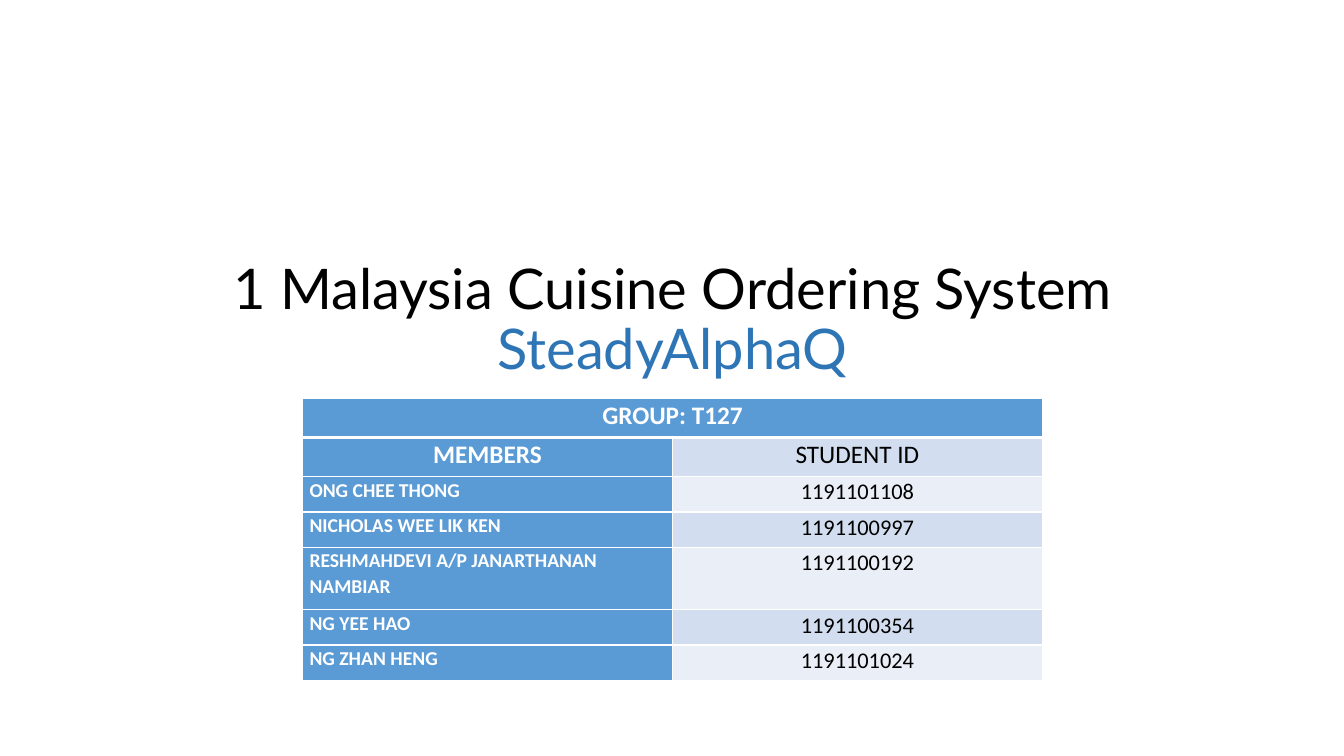
from lxml.etree import SubElement as SubEl
from pptx import Presentation
from pptx.dml.color import RGBColor as RGB
from pptx.enum.text import MSO_ANCHOR as Anchor, PP_ALIGN as Align
from pptx.oxml.ns import qn
from pptx.util import Inches, Pt

COLORS = {
    "white": "FFFFFF", "black": "000000", "name": "2E75B6",
    "head": "5B9BD5", "dark": "D2DEEF", "light": "EAEFF7",
}
MEMBERS = [
    ("ONG CHEE THONG", "1191101108"),
    ("NICHOLAS WEE LIK KEN", "1191100997"),
    ("RESHMAHDEVI A/P JANARTHANAN NAMBIAR", "1191100192"),
    ("NG YEE HAO", "1191100354"),
    ("NG ZHAN HENG", "1191101024"),
]
HEIGHTS = [0.39, 0.39, 0.35, 0.35, 0.62, 0.35, 0.35]


def add_run(para, text, size, font, color, bold=False):
    run = para.add_run()
    run.text = text
    run.font.size = Pt(size)
    run.font.name = font
    run.font.bold = bold
    run.font.color.rgb = RGB.from_string(COLORS[color])


def add_title(slide):
    box = slide.shapes.add_textbox(Inches(1.67), Inches(1.23), Inches(10), Inches(2.61))
    frame = box.text_frame
    frame.word_wrap = True
    frame.vertical_anchor = Anchor.BOTTOM
    para = frame.paragraphs[0]
    para.alignment = Align.CENTER
    para.line_spacing = 0.9
    add_run(para, "1 Malaysia Cuisine Ordering System", 40, "Lato", "black")
    para.add_line_break()
    add_run(para, "SteadyAlphaQ", 40, "Lato", "name")


def set_edges(cell, top, bottom):
    props = cell._tc.get_or_add_tcPr()
    for side, width in (("L", 1), ("R", 1), ("T", top), ("B", bottom)):
        line = SubEl(props, qn(f"a:ln{side}"), w=str(Pt(width)))
        fill = SubEl(line, qn("a:solidFill"))
        SubEl(fill, qn("a:srgbClr"), val=COLORS["white"])


def style_cell(cell, row, fill):
    # Edges come before the fill in the cell properties
    set_edges(cell, 3 if row == 1 else 1, 3 if row == 0 else 1)
    cell.fill.solid()
    cell.fill.fore_color.rgb = RGB.from_string(COLORS[fill])
    cell.margin_left = cell.margin_right = Inches(0.07)
    cell.margin_top = cell.margin_bottom = Inches(0)


def fill_cell(cell, text, size, color, bold, align):
    para = cell.text_frame.paragraphs[0]
    para.alignment = align
    para.line_spacing = 1.07
    add_run(para, text, size, "Calibri", color, bold)


def add_roster(slide):
    rows = [("GROUP: T127", ""), ("MEMBERS", "STUDENT ID"), *MEMBERS]
    frame = slide.shapes.add_table(
        len(rows), 2, Inches(3), Inches(3.95), Inches(7.33), Inches(sum(HEIGHTS)))
    table = frame.table
    for col in table.columns:
        col.width = Inches(3.67)
    for row, (name, code) in enumerate(rows):
        table.rows[row].height = Inches(HEIGHTS[row])
        left, right = table.cell(row, 0), table.cell(row, 1)
        band = "head" if row == 0 else "dark" if row % 2 else "light"
        style_cell(left, row, "head")
        style_cell(right, row, band)
        top = row < 2
        fill_cell(left, name, 18 if top else 14, "white", True,
                  Align.CENTER if top else Align.LEFT)
        if code:
            fill_cell(right, code, 18 if top else 16, "black", False, Align.CENTER)
    # The group heading spans both columns
    table.cell(0, 0).merge(table.cell(0, 1))


def main():
    deck = Presentation()
    deck.slide_width, deck.slide_height = Inches(13.33), Inches(7.5)
    slide = deck.slides.add_slide(deck.slide_layouts[6])
    add_title(slide)
    add_roster(slide)
    deck.save("out.pptx")


if __name__ == "__main__":
    main()
